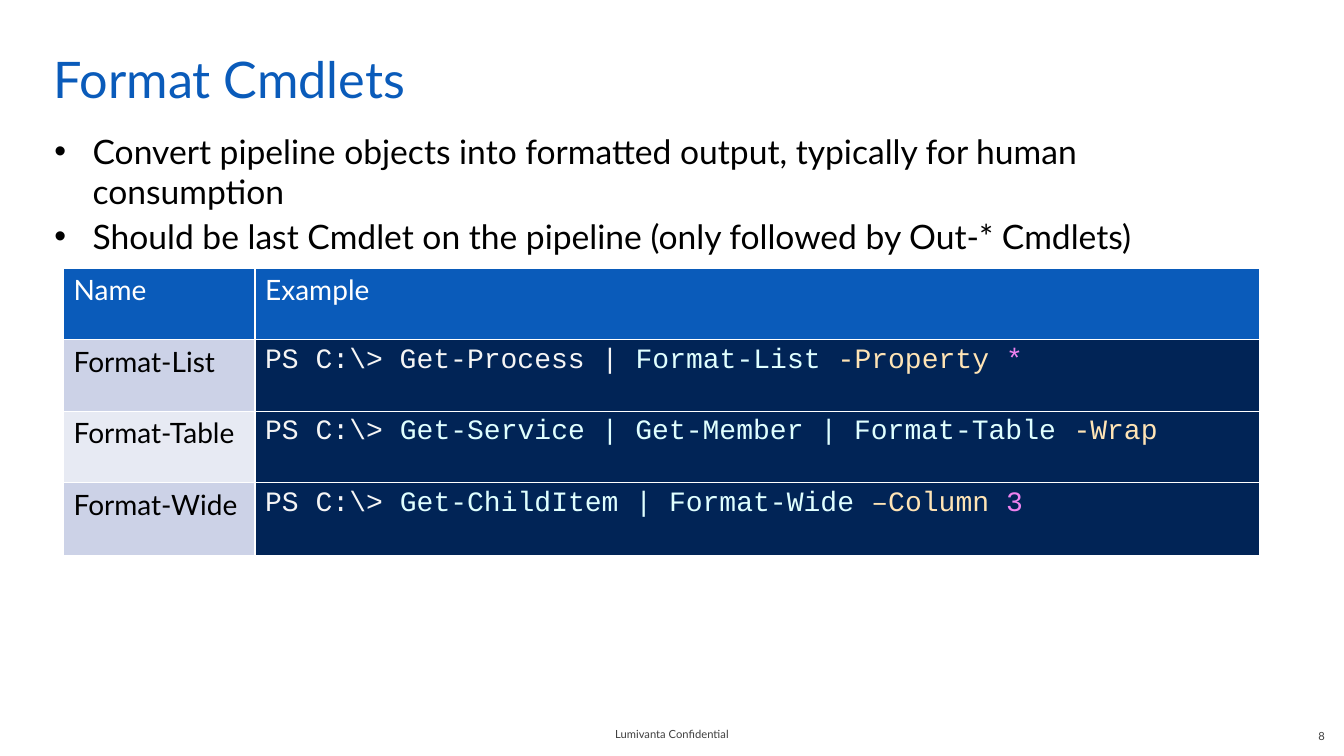
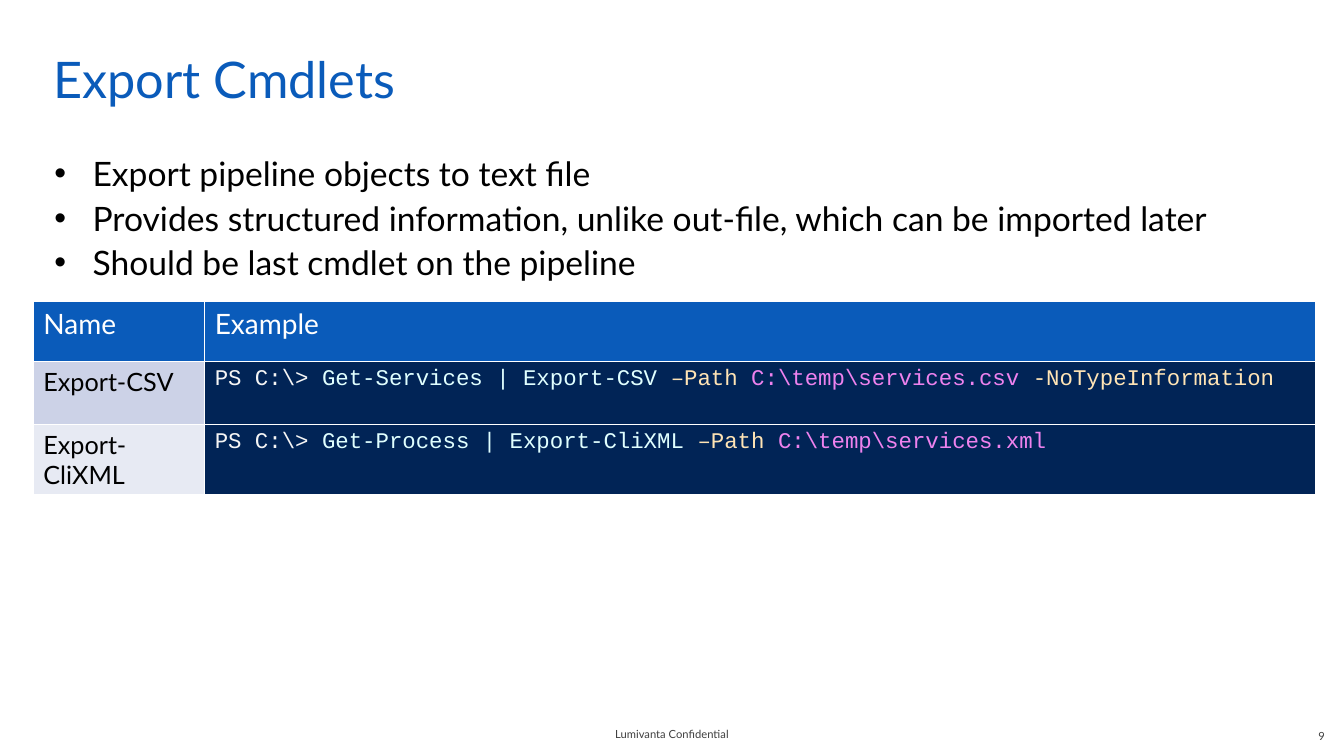
import pptx
import pptx.util
import pptx.dml.color
import pptx.enum.text
import pptx.oxml.ns
from dataclasses import dataclass
from lxml import etree

ALIGN = pptx.enum.text.PP_ALIGN
ANCHOR = pptx.enum.text.MSO_ANCHOR


# Shared look: colours, fonts and type sizes
@dataclass(frozen=True)
class Theme:
    font: str = "Lato"
    mono: str = "Courier New"
    blue: str = "0A5BBA"
    white: str = "FFFFFF"
    black: str = "000000"
    gray: str = "3F3F3F"
    navy: str = "012456"
    bands: tuple = ("CCD2E7", "E7EAF3")
    plain: str = "F5F5F5"
    cmd: str = "E0FFFF"
    flag: str = "FFE4B5"
    value: str = "EE82EE"
    title: int = 36
    body: int = 24
    head: int = 20
    foot: int = 8


LOOK = Theme()


def px(count):
    """One px is a hundredth of an inch."""
    return pptx.util.Emu(count * 9144)


def assign(target, values):
    for name, value in values.items():
        setattr(target, name, value)


def paint(fill, color):
    fill.solid()
    fill.fore_color.rgb = pptx.dml.color.RGBColor.from_string(color)


# Text
def write(para, text, size, color, face=LOOK.font):
    run = para.add_run()
    run.text = text
    assign(run.font, {"name": face, "size": pptx.util.Pt(size), "bold": False})
    run.font.color.rgb = pptx.dml.color.RGBColor.from_string(color)


def frame(shape, insets, anchor):
    left, top, right, bottom = map(px, insets)
    assign(shape.text_frame, {
        "word_wrap": True,
        "auto_size": pptx.enum.text.MSO_AUTO_SIZE.NONE,
        "vertical_anchor": anchor,
        "margin_left": left, "margin_top": top,
        "margin_right": right, "margin_bottom": bottom,
    })
    return shape.text_frame


def head(slide, text):
    title = slide.shapes.title
    assign(title, {"left": px(33), "top": px(33),
                   "width": px(1233), "height": px(75)})
    para = frame(title, (20, 15, 10, 5), ANCHOR.TOP).paragraphs[0]
    para.alignment = ALIGN.LEFT
    write(para, text, LOOK.title, LOOK.blue)


def bullet(para):
    props = para._p.get_or_add_pPr()
    assign(para, {"space_before": pptx.util.Pt(3), "alignment": ALIGN.LEFT})
    props.set("marL", str(px(38)))
    props.set("indent", str(px(-38)))
    for tag, key, value in (("a:buFont", "typeface", "Arial"),
                            ("a:buChar", "char", "•")):
        etree.SubElement(props, pptx.oxml.ns.qn(tag)).set(key, value)


def points(slide, top, lines):
    box = slide.shapes.add_textbox(px(44), px(top), px(1222), px(542))
    body = frame(box, (10, 5, 10, 5), ANCHOR.TOP)
    for index, line in enumerate(lines):
        para = body.add_paragraph() if index else body.paragraphs[0]
        bullet(para)
        write(para, line, LOOK.body, LOOK.black)


def note(slide, left, top, text, align):
    box = slide.shapes.add_textbox(px(left), px(top), px(311), px(40))
    para = frame(box, (20, 5, 20, 5), ANCHOR.MIDDLE).paragraphs[0]
    para.alignment = align
    write(para, text, LOOK.foot, LOOK.gray)


def foot(slide, number):
    note(slide, 511, 708, "Lumivanta Confidential", ALIGN.CENTER)
    note(slide, 1023, 710, str(number), ALIGN.RIGHT)


# Table of cmdlets with coloured console examples
def cell(spot, fill, runs, size, face=LOOK.font):
    paint(spot.fill, fill)
    for text, color in runs:
        write(spot.text_frame.paragraphs[0], text, size, color, face)


def grid(slide, left, top, cols, rows, sizes, items):
    table = slide.shapes.add_table(len(rows), len(cols), px(left), px(top),
                                   px(sum(cols)), px(sum(rows))).table
    for col, width in zip(table.columns, cols):
        col.width = px(width)
    for row, height in zip(table.rows, rows):
        row.height = px(height)
    for index, label in enumerate(("Name", "Example")):
        cell(table.cell(0, index), LOOK.blue, [(label, LOOK.white)], LOOK.head)
    small, code = sizes
    for index, (name, *parts) in enumerate(items):
        band = LOOK.bands[index % len(LOOK.bands)]
        runs = [("PS C:\\> ", LOOK.plain), *parts]
        cell(table.cell(index + 1, 0), band, [(name, LOOK.black)], small)
        cell(table.cell(index + 1, 1), LOOK.navy, runs, code, LOOK.mono)


# Content
PAGES = (
    {
        "number": 8,
        "title": "Format Cmdlets",
        "top": 125,
        "lines": (
            "Convert pipeline objects into formatted output, "
            "typically for human consumption",
            "Should be last Cmdlet on the pipeline "
            "(only followed by Out-* Cmdlets)",
        ),
        "table": {
            "left": 63, "top": 266,
            "cols": (190, 996), "rows": (71, 71, 71, 72),
            "sizes": (20, 20),
            "items": (
                ("Format-List", ("Get-Process | ", LOOK.plain),
                 ("Format-List ", LOOK.cmd), ("-Property ", LOOK.flag),
                 ("*", LOOK.value)),
                ("Format-Table",
                 ("Get-Service | Get-Member | Format-Table ", LOOK.cmd),
                 ("-Wrap", LOOK.flag)),
                ("Format-Wide", ("Get-ChildItem | Format-Wide ", LOOK.cmd),
                 ("–Column ", LOOK.flag), ("3", LOOK.value)),
            ),
        },
    },
    {
        "number": 9,
        "title": "Export Cmdlets",
        "top": 147,
        "lines": (
            "Export pipeline objects to text file",
            "Provides structured information, unlike out-file, "
            "which can be imported later",
            "Should be last cmdlet on the pipeline",
        ),
        "table": {
            "left": 33, "top": 299,
            "cols": (170, 1102), "rows": (60, 62, 60),
            "sizes": (18, 16),
            "items": (
                ("Export-CSV", ("Get-Services | Export-CSV ", LOOK.cmd),
                 ("–Path ", LOOK.flag),
                 ("C:\\temp\\services.csv ", LOOK.value),
                 ("-NoTypeInformation", LOOK.flag)),
                ("Export-CliXML", ("Get-Process | Export-CliXML ", LOOK.cmd),
                 ("–Path ", LOOK.flag),
                 ("C:\\temp\\services.xml", LOOK.value)),
            ),
        },
    },
)


def main():
    deck = pptx.Presentation()
    assign(deck, {"slide_width": pptx.util.Inches(13.33),
                  "slide_height": pptx.util.Inches(7.5)})
    layout = deck.slide_layouts.get_by_name("Title Only")
    for page in PAGES:
        slide = deck.slides.add_slide(layout)
        paint(slide.background.fill, LOOK.white)
        head(slide, page["title"])
        points(slide, page["top"], page["lines"])
        foot(slide, page["number"])
        grid(slide, **page["table"])
    deck.save("out.pptx")


if __name__ == "__main__":
    main()
